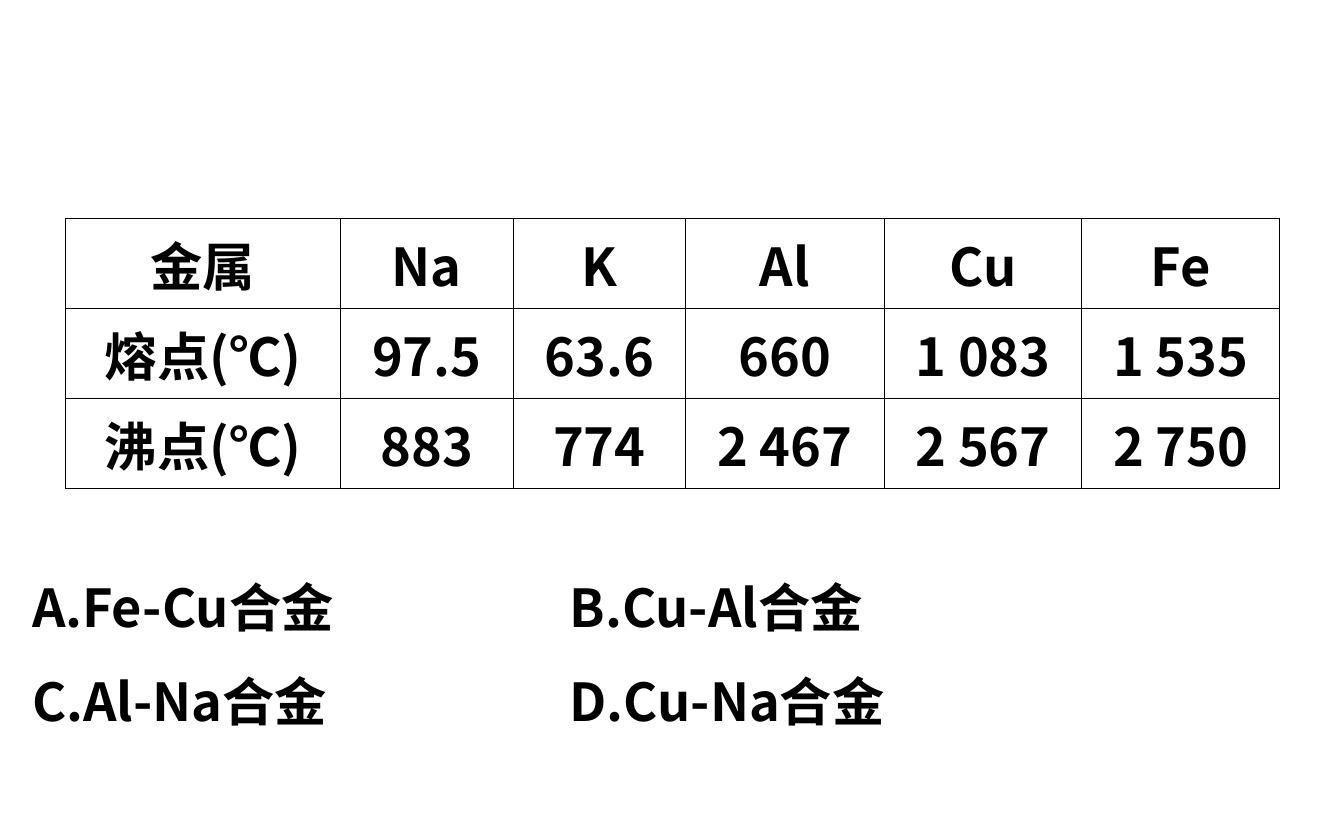
import lxml.etree
import pptx
import pptx.dml.color
import pptx.enum.text
import pptx.oxml.ns
import pptx.util

COLORS = {"text": "000000", "border": "000000", "background": "FFFFFF"}
FONT = "Noto Sans CJK SC"
FONT_SIZE = 28
WIDTH, HEIGHT = 10, 6.25
OUTER_BORDER, INNER_BORDER = 0.75, 0.45

COLUMN_WIDTHS = [2.04, 1.29, 1.28, 1.48, 1.47, 1.47]
ROW_HEIGHT = 0.67
METALS = [
    ["金属", "Na", "K", "Al", "Cu", "Fe"],
    ["熔点(℃)", "97.5", "63.6", "660", "1 083", "1 535"],
    ["沸点(℃)", "883", "774", "2 467", "2 567", "2 750"],
]
OPTIONS = [
    ["A.Fe-Cu合金", "B.Cu-Al合金"],
    ["C.Al-Na合金", "D.Cu-Na合金"],
]


def rgb(name):
    return pptx.dml.color.RGBColor.from_string(COLORS[name])


def add_element(parent, tag, **attributes):
    return lxml.etree.SubElement(parent, pptx.oxml.ns.qn(tag), **attributes)


def add_run(paragraph, text):
    run = paragraph.add_run()
    run.text = text
    run.font.size = pptx.util.Pt(FONT_SIZE)
    run.font.bold = True
    run.font.color.rgb = rgb("text")
    run.font.name = FONT
    add_element(run.font._element, "a:ea", typeface=FONT)


def add_tab_stops(paragraph):
    """Place a left tab stop at every inch."""
    tab_list = add_element(paragraph._p.get_or_add_pPr(), "a:tabLst")
    for inch in range(8):
        add_element(tab_list, "a:tab", pos=str(pptx.util.Inches(inch)), algn="l")


def set_borders(cell, outer_sides):
    """Draw all four sides, heavier where they lie on the table's edge."""
    properties = cell._tc.get_or_add_tcPr()
    for side in "LRTB":
        points = OUTER_BORDER if side in outer_sides else INNER_BORDER
        line = add_element(properties, f"a:ln{side}", w=str(pptx.util.Pt(points)))
        fill = add_element(line, "a:solidFill")
        add_element(fill, "a:srgbClr", val=COLORS["border"])


def add_metal_table(slide, left, top):
    rows, columns = len(METALS), len(COLUMN_WIDTHS)
    table = slide.shapes.add_table(
        rows, columns, pptx.util.Inches(left), pptx.util.Inches(top),
        pptx.util.Inches(sum(COLUMN_WIDTHS)), pptx.util.Inches(rows * ROW_HEIGHT),
    ).table
    table.first_row = False
    table.horz_banding = False
    for column, width in zip(table.columns, COLUMN_WIDTHS):
        column.width = pptx.util.Inches(width)
    for row_index, values in enumerate(METALS):
        table.rows[row_index].height = pptx.util.Inches(ROW_HEIGHT)
        for column_index, value in enumerate(values):
            cell = table.cell(row_index, column_index)
            edges = {"L": column_index == 0, "R": column_index == columns - 1,
                     "T": row_index == 0, "B": row_index == rows - 1}
            set_borders(cell, [side for side in edges if edges[side]])
            cell.fill.background()
            cell.vertical_anchor = pptx.enum.text.MSO_ANCHOR.MIDDLE
            paragraph = cell.text_frame.paragraphs[0]
            paragraph.alignment = pptx.enum.text.PP_ALIGN.CENTER
            add_run(paragraph, value)


def add_options(slide, left, top, width, height):
    box = slide.shapes.add_textbox(*map(pptx.util.Inches, (left, top, width, height)))
    frame = box.text_frame
    frame.word_wrap = True
    frame.auto_size = pptx.enum.text.MSO_AUTO_SIZE.SHAPE_TO_FIT_TEXT
    for index, pair in enumerate(OPTIONS):
        paragraph = frame.add_paragraph() if index else frame.paragraphs[0]
        paragraph.line_spacing = 1.5
        add_tab_stops(paragraph)
        add_run(paragraph, "\t\t".join(pair))


def main():
    presentation = pptx.Presentation()
    presentation.slide_width = pptx.util.Inches(WIDTH)
    presentation.slide_height = pptx.util.Inches(HEIGHT)
    slide = presentation.slides.add_slide(presentation.slide_layouts[6])
    slide.background.fill.solid()
    slide.background.fill.fore_color.rgb = rgb("background")
    add_options(slide, 0.14, 0.64 * HEIGHT, 9.43, 0.24 * HEIGHT)
    add_metal_table(slide, 0.49, 0.26 * HEIGHT)
    presentation.save("out.pptx")


if __name__ == "__main__":
    main()
